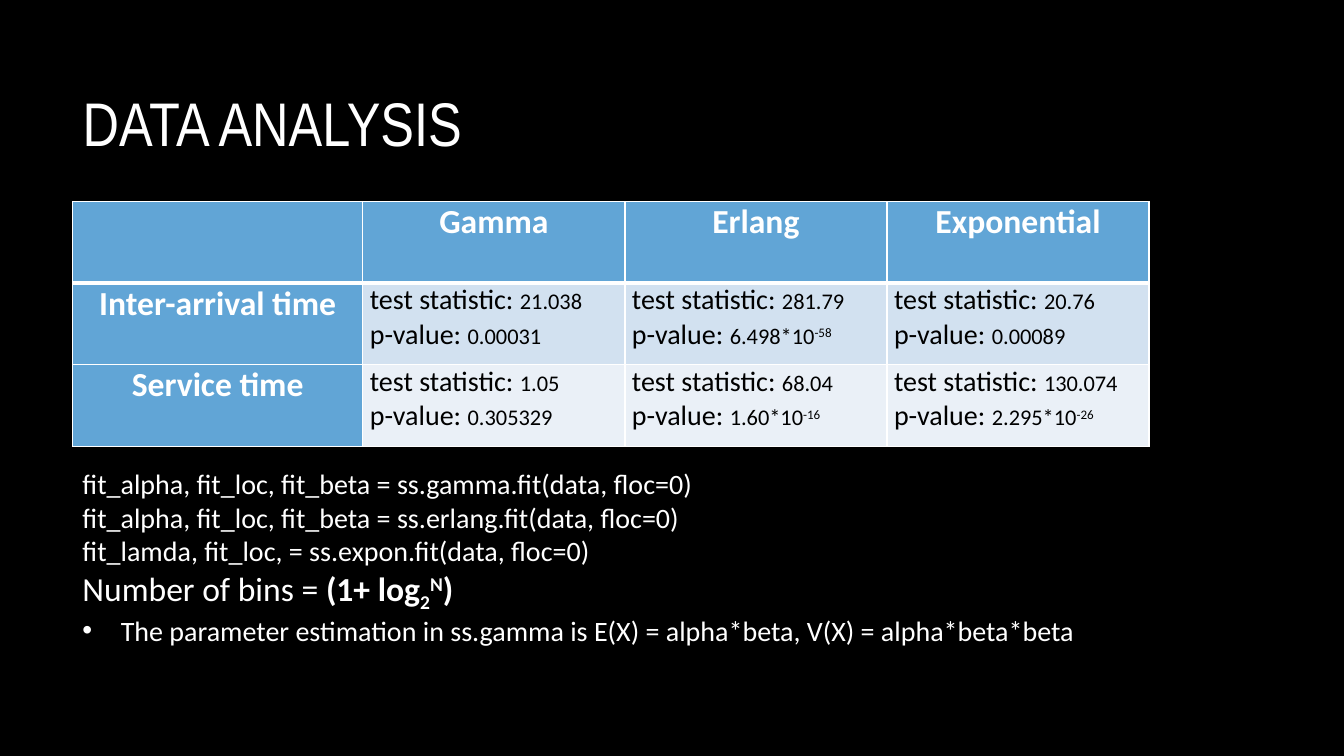
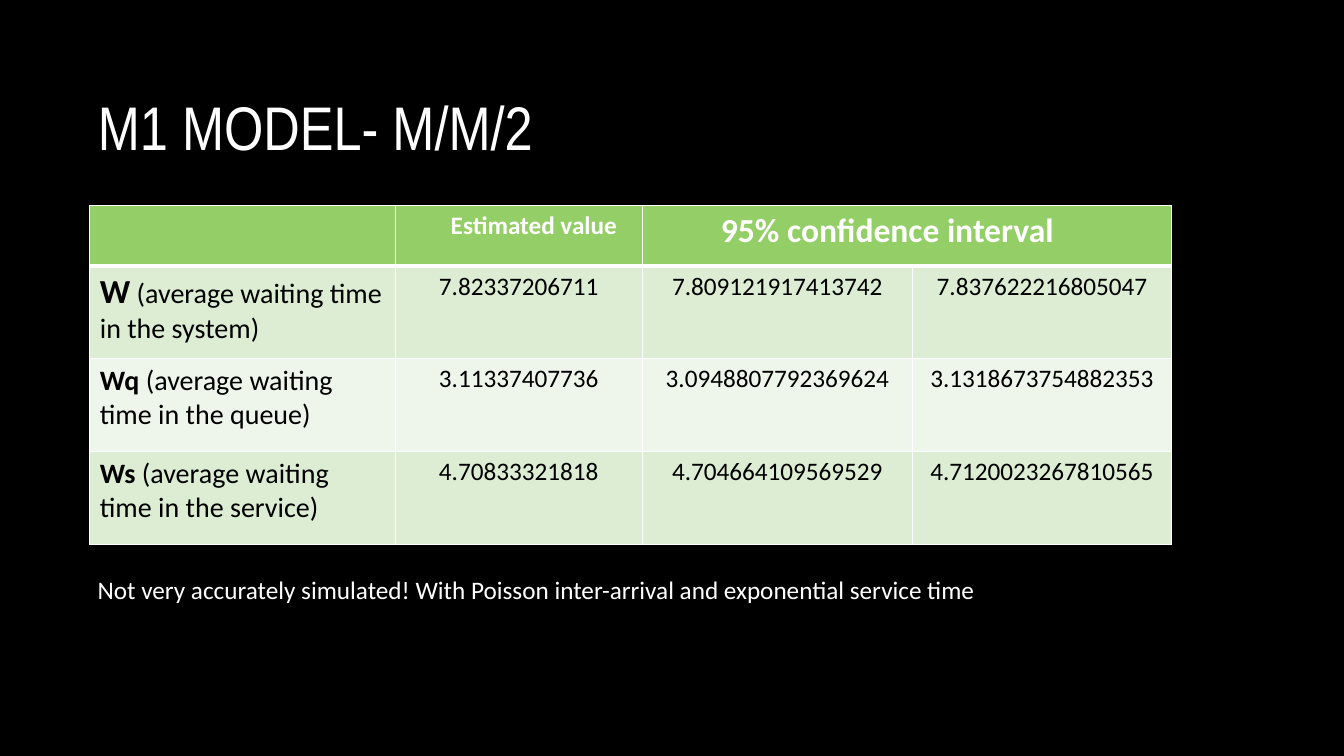
from lxml import etree
from pptx import Presentation, util as u
from pptx.dml.color import RGBColor
from pptx.enum import text as t
from pptx.oxml import ns

INK = {
    "back": "000000", "light": "FFFFFF", "dark": "000000",
    "blue": "61A5D6", "blue1": "D2E1F0", "blue2": "EAF0F7",
    "green": "94CE67", "green1": "DCEDD3", "green2": "EEF6EB",
}
HEAD, BODY = "Arial Narrow", "Calibri"
WIDE, HIGH = u.Inches(13.33), u.Inches(7.5)
LEFT, MID = t.PP_ALIGN.LEFT, t.PP_ALIGN.CENTER


def hue(name):
    return RGBColor.from_string(INK[name])


def area(left, top, width, height):
    return (int(WIDE * left / 100), int(HIGH * top / 100),
            int(WIDE * width / 100), int(HIGH * height / 100))


def add(parent, tag, **attrs):
    return etree.SubElement(parent, ns.qn(tag), **attrs)


def style(font, size, ink, bold=False, face=BODY):
    font.name, font.size, font.bold = face, u.Pt(size), bold
    font.color.rgb = hue(ink)


def write(par, runs, size, ink, bold=False, align=LEFT, indent=0, bullet=False):
    par.alignment = align
    props = par._p.get_or_add_pPr()
    if indent:
        props.set("marL", str(u.Inches(indent)))
    if bullet:
        props.set("indent", str(-u.Inches(indent)))
        add(props, "a:buFont", typeface="Arial")
        add(props, "a:buChar", char="•")
    style(par.font, size, ink, bold)
    for item in [runs] if isinstance(runs, str) else runs:
        words, looks = (item, {}) if isinstance(item, str) else item
        run = par.add_run()
        run.text = words
        if "size" in looks:
            run.font.size = u.Pt(looks["size"])
        if "bold" in looks:
            run.font.bold = looks["bold"]
        if "base" in looks:
            run._r.get_or_add_rPr().set("baseline", str(looks["base"] * 1000))


def fill_text(frame, lines):
    frame.word_wrap = True
    for i, (runs, looks) in enumerate(lines):
        par = frame.add_paragraph() if i else frame.paragraphs[0]
        write(par, runs, **looks)


def edge(cell, row):
    props = cell._tc.get_or_add_tcPr()
    widths = {"L": 1, "R": 1, "T": 3 if row == 1 else 1, "B": 1 if row else 3}
    for side, width in widths.items():
        line = add(props, "a:ln" + side, w=str(u.Pt(width)))
        add(add(line, "a:solidFill"), "a:srgbClr", val=INK["light"])


def grid(slide, box, cols, rows, cells, tint, pad=None):
    table = slide.shapes.add_table(len(rows), len(cols), *box).table
    table.first_row = table.horz_banding = False
    for col, share in zip(table.columns, cols):
        col.width = int(box[2] * share / sum(cols))
    for row, share in zip(table.rows, rows):
        row.height = int(box[3] * share / sum(rows))
    for r, line in enumerate(cells):
        for c, lines in enumerate(line):
            cell = table.cell(r, c)
            edge(cell, r)
            cell.fill.solid()
            cell.fill.fore_color.rgb = hue(tint(r, c))
            if pad:
                cell.margin_left = cell.margin_right = u.Inches(pad[0])
                cell.margin_top = cell.margin_bottom = u.Inches(pad[1])
            fill_text(cell.text_frame, lines)
    return table


def start(deck, title, box):
    slide = deck.slides.add_slide(deck.slide_layouts[5])
    head = slide.shapes.title
    head.left, head.top, head.width, head.height = box
    frame = head.text_frame
    frame.text = title
    frame.vertical_anchor = t.MSO_ANCHOR.MIDDLE
    par = frame.paragraphs[0]
    par.alignment = LEFT
    style(par.font, 44, "light", face=HEAD)
    return slide


def notes(slide, box, lines):
    frame = slide.shapes.add_textbox(*box).text_frame
    fill_text(frame, lines)


def fit_cell(stat, value, power=None):
    small = {"size": 16}
    looks = {"size": 20, "ink": "dark"}
    second = ["p-value: ", (value, small)]
    if power:
        second.append((power, {"size": 16, "base": 30}))
    return [(["test statistic: ", (stat, small)], looks), (second, looks)]


def fit_slide(deck):
    slide = start(deck, "DATA ANALYSIS", area(5.4, 5.47, 31.5, 21.2))
    label = {"size": 24, "ink": "light", "bold": True, "align": MID}
    data = {
        "Inter-arrival time": [("21.038", "0.00031"),
                               ("281.79", "6.498*10", "-58"),
                               ("20.76", "0.00089")],
        "Service time": [("1.05", "0.305329"),
                         ("68.04", "1.60*10", "-16"),
                         ("130.074", "2.295*10", "-26")],
    }
    cells = [[[]] + [[(name, label)] for name in ("Gamma", "Erlang", "Exponential")]]
    for name, fits in data.items():
        cells.append([[(name, label)]] + [fit_cell(*fit) for fit in fits])

    def tint(r, c):
        return f"blue{r}" if r and c else "blue"

    grid(slide, area(5.4, 26.67, 80.1, 32.4), (2.88, 2.6, 2.6, 2.6), (1, 1, 1),
         cells, tint, (0.07, 0))
    plain = {"size": 20, "ink": "light"}
    bold = {"bold": True}
    bins = ["Number of bins = ", ("(1+ log", bold), ("2", {**bold, "base": -25}),
            ("N", {**bold, "base": 30}), (")", bold)]
    notes(slide, area(5.4, 61.07, 82.97, 29.2), [
        ("fit_alpha, fit_loc, fit_beta = ss.gamma.fit(data, floc=0)", plain),
        ("fit_alpha, fit_loc, fit_beta = ss.erlang.fit(data, floc=0)", plain),
        ("fit_lamda, fit_loc, = ss.expon.fit(data, floc=0)", plain),
        (bins, {**plain, "size": 24}),
        ("The parameter estimation in ss.gamma is E(X) = alpha*beta, "
         "V(X) = alpha*beta*beta", {**plain, "indent": 0.38, "bullet": True}),
    ])


def model_slide(deck):
    slide = start(deck, "M1 MODEL- M/M/2", area(6.53, 6, 83.12, 21.2))
    head = {"ink": "light", "bold": True}
    cells = [[[], [("Estimated value", {**head, "size": 18, "indent": 0.45})],
              [("95% confidence interval", {**head, "size": 24, "indent": 0.68})], []]]
    data = [
        ("W", 24, "system", "7.82337206711", "7.809121917413742", "7.837622216805047"),
        ("Wq", 20, "queue", "3.11337407736", "3.0948807792369624", "3.1318673754882353"),
        ("Ws", 20, "service", "4.70833321818", "4.704664109569529", "4.7120023267810565"),
    ]
    for name, size, place, *values in data:
        label = [(name, {"size": size, "bold": True}),
                 f" (average waiting time in the {place})"]
        cells.append([[(label, {"size": 20, "ink": "dark"})]] + [
            [(value, {"size": 18, "ink": "dark", "align": MID})] for value in values])

    def tint(r, c):
        return ("green", "green1", "green2", "green1")[r]

    table = grid(slide, area(6.68, 27.2, 80.5, 44.8), (3.03, 2.45, 2.68, 2.57),
                 (0.6, 0.92, 0.92, 0.92), cells, tint)
    table.cell(0, 2).merge(table.cell(0, 3))
    notes(slide, area(6.53, 75.33, 72.24, 5.33), [
        ("Not very accurately simulated! With Poisson inter-arrival "
         "and exponential service time", {"size": 18, "ink": "light"})])


def main():
    deck = Presentation()
    deck.slide_width, deck.slide_height = WIDE, HIGH
    back = deck.slide_master.background.fill
    back.solid()
    back.fore_color.rgb = hue("back")
    fit_slide(deck)
    model_slide(deck)
    deck.save("out.pptx")


if __name__ == "__main__":
    main()
